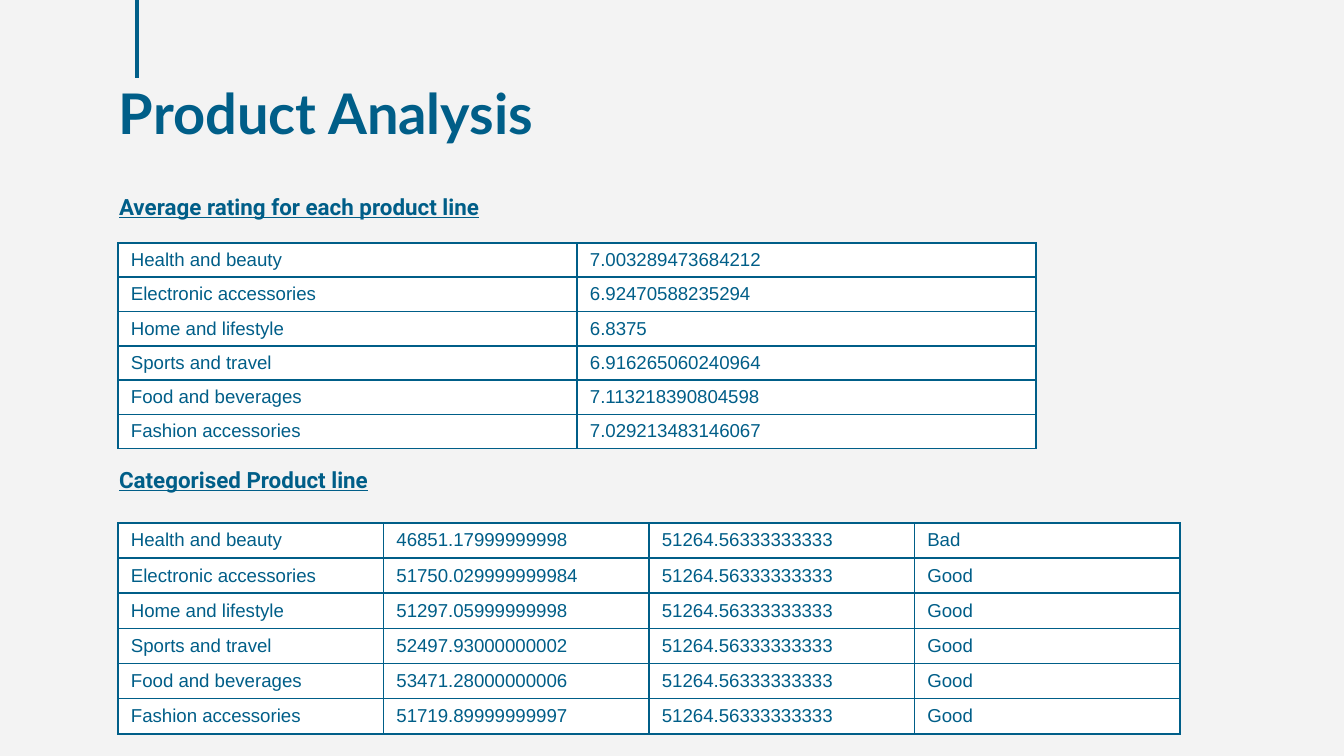
from collections import namedtuple
from dataclasses import dataclass

from lxml import etree
from pptx import Presentation
from pptx.dml.color import RGBColor
from pptx.enum.shapes import MSO_CONNECTOR
from pptx.enum.text import MSO_ANCHOR
from pptx.oxml.ns import qn
from pptx.util import Pt

STRAIGHT = MSO_CONNECTOR.STRAIGHT
TOP, MIDDLE = MSO_ANCHOR.TOP, MSO_ANCHOR.MIDDLE
EMU_PER_PX = 914400 / 134.4
Box = namedtuple("Box", "left top width height")


@dataclass(frozen=True)
class Theme:
    """Colours, fonts and sizes of the slide."""

    background: str = "F3F3F3"
    ink: str = "005E88"
    cell: str = "FFFFFF"
    title_font: str = "Lato"
    heading_font: str = "Roboto"
    table_font: str = "Arial"
    title_size: int = 30
    heading_size: int = 12
    table_size: int = 10
    accent_width: float = 2.25
    border_width: int = 1


THEME = Theme()
PRODUCT_LINES = [
    "Health and beauty",
    "Electronic accessories",
    "Home and lifestyle",
    "Sports and travel",
    "Food and beverages",
    "Fashion accessories",
]
RATINGS = [
    "7.003289473684212",
    "6.92470588235294",
    "6.8375",
    "6.916265060240964",
    "7.113218390804598",
    "7.029213483146067",
]
SALES = [
    "46851.17999999998",
    "51750.029999999984",
    "51297.05999999998",
    "52497.93000000002",
    "53471.28000000006",
    "51719.89999999997",
]
MEAN_SALES = "51264.56333333333"
VERDICTS = ["Bad"] + ["Good"] * 5


def px(length):
    """Turn pixels into EMU."""
    return round(length * EMU_PER_PX)


def add_run(paragraph, text, font, size, bold=False, underline=False):
    """Add one run in the ink colour."""
    run = paragraph.add_run()
    run.text = text
    run.font.name = font
    run.font.size = Pt(size)
    run.font.bold = bold
    run.font.underline = underline
    run.font.color.rgb = RGBColor.from_string(THEME.ink)


def add_text(slide, box, text, font, size, underline=False):
    """Place one bold line of text in a box."""
    frame = slide.shapes.add_textbox(*map(px, box)).text_frame
    frame.word_wrap = True
    frame.vertical_anchor = TOP
    frame.margin_left = frame.margin_right = px(13)
    frame.margin_top = frame.margin_bottom = px(13)
    add_run(frame.paragraphs[0], text, font, size, True, underline)


def add_title(slide, box, text):
    """Place the title with the accent line that drops onto it."""
    x = px(box.left + 31)
    line = slide.shapes.add_connector(STRAIGHT, x, 0, x, px(box.top + 12))
    line.line.color.rgb = RGBColor.from_string(THEME.ink)
    line.line.width = Pt(THEME.accent_width)
    etree.SubElement(line._element.spPr, qn("a:effectLst"))
    add_text(slide, box, text, THEME.title_font, THEME.title_size)


def add_borders(cell):
    """Draw a solid line on all four sides of a cell."""
    properties = cell._tc.get_or_add_tcPr()
    for side in ("a:lnL", "a:lnR", "a:lnT", "a:lnB"):
        line = etree.SubElement(properties, qn(side), w=str(Pt(THEME.border_width)))
        fill = etree.SubElement(line, qn("a:solidFill"))
        etree.SubElement(fill, qn("a:srgbClr"), val=THEME.ink)


def add_grid(slide, box, rows):
    """Place a bordered table with equal columns and equal rows."""
    frame = slide.shapes.add_table(len(rows), len(rows[0]), *map(px, box))
    table = frame.table
    table.first_row = table.horz_banding = False
    for column in table.columns:
        column.width = px(box.width / len(rows[0]))
    for row, values in zip(table.rows, rows):
        row.height = px(box.height / len(rows))
        for cell, value in zip(row.cells, values):
            add_borders(cell)
            cell.fill.solid()
            cell.fill.fore_color.rgb = RGBColor.from_string(THEME.cell)
            cell.vertical_anchor = MIDDLE
            cell.margin_left = cell.margin_right = px(13)
            cell.margin_top = cell.margin_bottom = px(5)
            paragraph = cell.text_frame.paragraphs[0]
            add_run(paragraph, value, THEME.table_font, THEME.table_size)


def add_section(slide, box, heading, table_offset, rows):
    """Place a heading with its table below it."""
    heading_box = Box(box.left - 12, box.top, box.width, 52)
    add_text(slide, heading_box, heading, THEME.heading_font, THEME.heading_size, True)
    table_box = Box(
        box.left, box.top + table_offset, box.width, box.height - table_offset
    )
    add_grid(slide, table_box, rows)


def build_slide(presentation):
    """Build the product analysis slide."""
    slide = presentation.slides.add_slide(presentation.slide_layouts[6])
    slide.background.fill.solid()
    slide.background.fill.fore_color.rgb = RGBColor.from_string(THEME.background)
    add_title(slide, Box(106, 66, 1133, 85), "Product Analysis")
    add_section(
        slide,
        Box(118, 180, 918, 269),
        "Average rating for each product line",
        63,
        list(zip(PRODUCT_LINES, RATINGS)),
    )
    add_section(
        slide,
        Box(118, 453, 1062, 281),
        "Categorised Product line",
        70,
        [
            (name, sales, MEAN_SALES, verdict)
            for name, sales, verdict in zip(PRODUCT_LINES, SALES, VERDICTS)
        ],
    )


def main():
    """Create and save the presentation."""
    presentation = Presentation()
    presentation.slide_width = px(1344)
    presentation.slide_height = px(756)
    build_slide(presentation)
    presentation.save("out.pptx")


if __name__ == "__main__":
    main()
